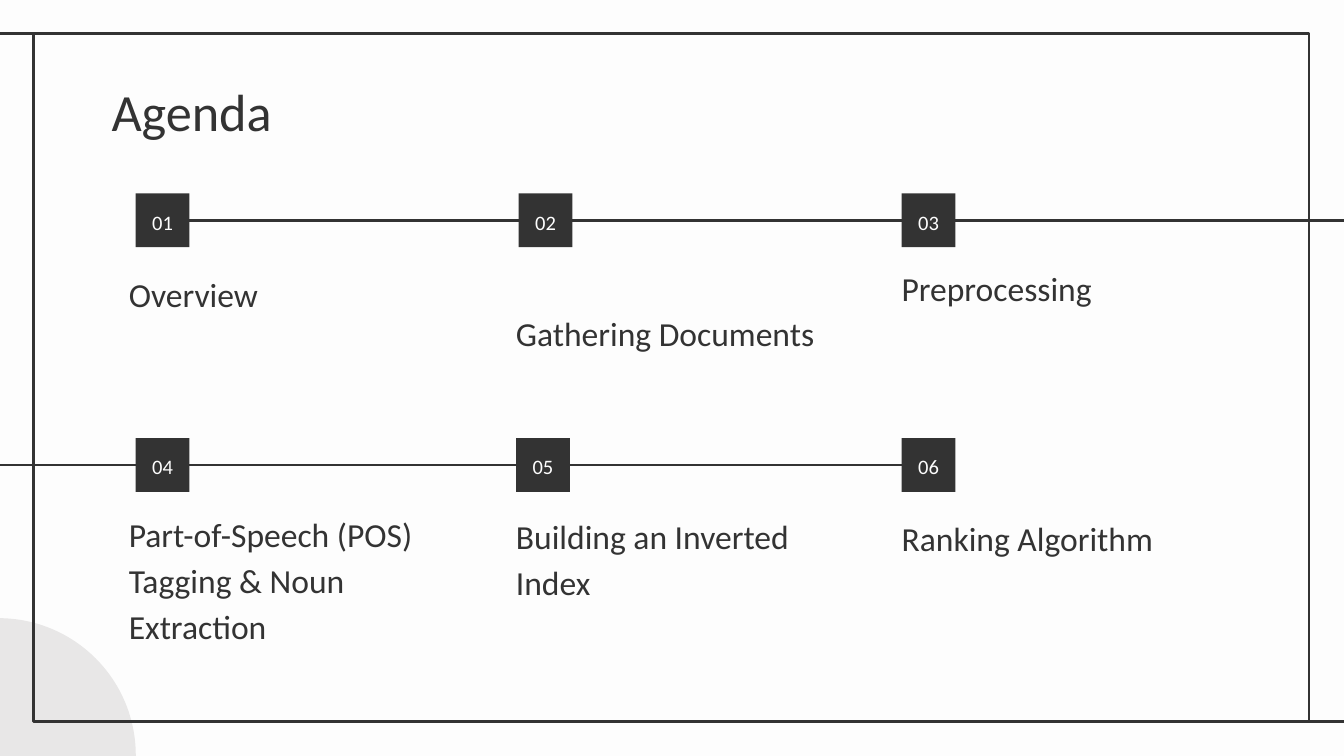
from pptx import Presentation
from pptx import util as u
from pptx.dml.color import RGBColor
from pptx.enum import shapes, text
from pptx.oxml.ns import qn
from lxml import etree

DARK, LIGHT, GREY = "333333", "FDFDFD", "E8E7E7"
FONT = "Calibri"
MARKER = 0.4
INSET = 0.1
LABEL_WIDTH = 2.52


def colour(value):
    return RGBColor.from_string(value)


def place(shape, left, top, width, height):
    shape.left, shape.top = u.Inches(left), u.Inches(top)
    shape.width, shape.height = u.Inches(width), u.Inches(height)


def write(shape, words, size, value, anchor, align=text.PP_ALIGN.LEFT, spacing=1.15):
    frame = shape.text_frame
    frame.word_wrap = True
    frame.auto_size = text.MSO_AUTO_SIZE.NONE
    frame.vertical_anchor = anchor
    frame.margin_left = frame.margin_right = u.Inches(INSET)
    frame.margin_top = frame.margin_bottom = u.Inches(INSET)
    paragraph = frame.paragraphs[0]
    paragraph.alignment = align
    paragraph.line_spacing = spacing
    run = paragraph.add_run()
    run.text = words
    run.font.name = FONT
    run.font.size = u.Pt(size)
    run.font.color.rgb = colour(value)


def add_shape(slide, kind, box, fill=None, line=None):
    shape = slide.shapes.add_shape(kind, *map(u.Inches, box))
    shape.shadow.inherit = False
    if fill:
        shape.fill.solid()
        shape.fill.fore_color.rgb = colour(fill)
    else:
        shape.fill.background()
    if line:
        shape.line.color.rgb = colour(line)
        shape.line.width = u.Pt(1.5)
    else:
        shape.line.fill.background()
    return shape


def add_line(slide, start, end, y):
    connector = slide.shapes.add_connector(
        shapes.MSO_CONNECTOR.STRAIGHT, *map(u.Inches, (start, y, end, y)))
    connector.line.color.rgb = colour(DARK)
    connector.line.width = u.Pt(1.5)
    etree.SubElement(connector._element.spPr, qn("a:effectLst"))
    return connector


def add_frame(slide, left, top, width, height):
    add_shape(slide, shapes.MSO_SHAPE.OVAL, (-1.03, 4.6, 2.04, 2.04), fill=GREY)
    add_shape(slide, shapes.MSO_SHAPE.RECTANGLE, (left, top, width, height), line=DARK)
    add_line(slide, left, -0.02, top)
    add_line(slide, left + width, 10.03, top + height)


def add_title(slide, words, left, top, width, height):
    title = slide.shapes.title
    place(title, left, top, width, height)
    write(title, words, 28, DARK, text.MSO_ANCHOR.TOP, spacing=1)


def add_marker(slide, number, left, top):
    marker = add_shape(slide, shapes.MSO_SHAPE.RECTANGLE,
                       (left, top, MARKER, MARKER), fill=DARK)
    write(marker, f"{number:02d}", 11, LIGHT, text.MSO_ANCHOR.MIDDLE,
          text.PP_ALIGN.CENTER)
    return marker


def add_label(slide, words, left, top, height):
    label = slide.shapes.add_textbox(
        *map(u.Inches, (left, top, LABEL_WIDTH, height)))
    write(label, words, 18, DARK, text.MSO_ANCHOR.BOTTOM)


def add_agenda_row(slide, top, first, lefts, labels, joined, side, line_end):
    line = add_line(slide, lefts[joined], line_end, top + MARKER / 2)
    markers = [add_marker(slide, first + index, left, top)
               for index, left in enumerate(lefts)]
    line.begin_connect(markers[joined], side)
    for column, (words, offset, height) in zip((0.86, 3.74, 6.61), labels):
        add_label(slide, words, column, top + offset, height)


def main():
    presentation = Presentation()
    presentation.slide_width = u.Inches(10)
    presentation.slide_height = presentation.slide_width * 9 // 16
    slide = presentation.slides.add_slide(presentation.slide_layouts[5])
    slide.background.fill.solid()
    slide.background.fill.fore_color.rgb = colour(LIGHT)

    add_frame(slide, 0.25, 0.25, 9.49, 5.12)
    add_title(slide, "Agenda", 0.73, 0.49, 8.43, 0.63)
    add_agenda_row(slide, 1.44, 1, (1.01, 3.86, 6.71), (
        ("Overview", 0.58, 0.42),
        ("Gathering Documents", 0.87, 0.42),
        ("Preprocessing", 0.53, 0.42),
    ), joined=0, side=3, line_end=10.17)
    add_agenda_row(slide, 3.26, 4, (1.01, 3.84, 6.71), (
        ("Part-of-Speech (POS) Tagging & Noun Extraction", 0.9, 0.75),
        ("Building an Inverted Index", 0.9, 0.42),
        ("Ranking Algorithm", 0.57, 0.42),
    ), joined=2, side=1, line_end=-0.18)
    presentation.save("out.pptx")


if __name__ == "__main__":
    main()
